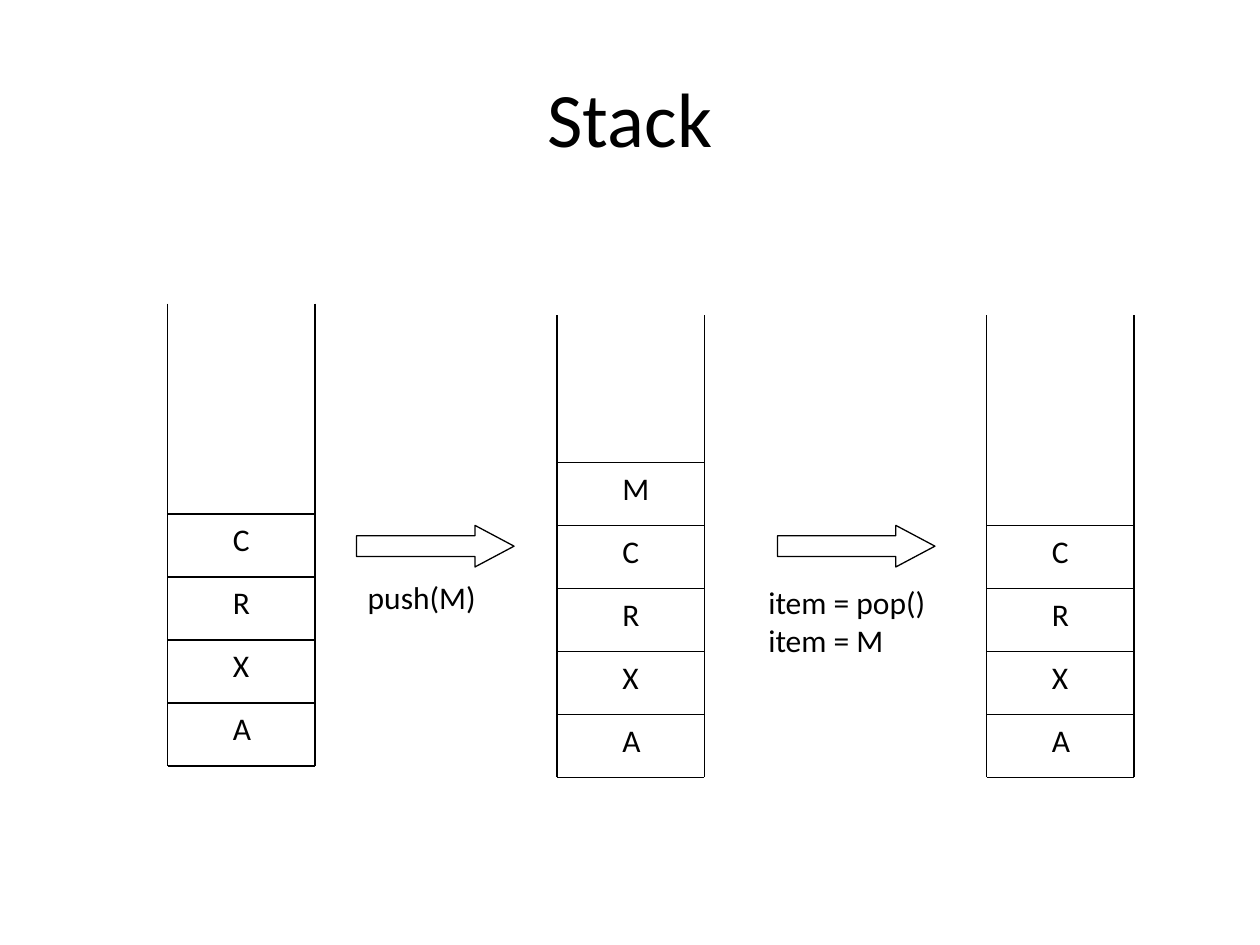
"""Build a slide showing push and pop on a stack."""
from lxml import etree
from pptx import Presentation
from pptx import util as u
from pptx.dml.color import RGBColor
from pptx.enum import shapes, text
from pptx.oxml.ns import qn

BLACK = RGBColor(0, 0, 0)
FONT = {"name": "Calibri", "size": u.Pt(18)}
TITLE_FONT = {"name": "Calibri", "size": u.Pt(44), "bold": False}

TITLE = "Stack"
STACKS = [
    {"left": 1.33, "bottom": 6.08, "items": "AXRC"},
    {"left": 4.42, "bottom": 6.17, "items": "AXRCM"},
    {"left": 7.83, "bottom": 6.17, "items": "AXRC"},
]
OPERATIONS = [
    {"arrow": 2.83, "label": (2.82, 4.54, 1.12, 0.4), "lines": ["push(M)"]},
    {"arrow": 6.17, "label": (6, 4.58, 1.54, 0.7), "lines": ["item = pop()", "item = M"]},
]
STACK_WIDTH, STACK_HEIGHT, ROW = 1.17, 3.67, 0.5
ITEM_INDENT, ITEM_WIDTH, ITEM_HEIGHT = 0.42, 0.38, 0.4
ARROW_TOP, ARROW_WIDTH, ARROW_HEIGHT = 4.17, 1.25, 0.33


def inches(*lengths):
    return [u.Inches(length) for length in lengths]


def style_font(font, values):
    for key, value in values.items():
        setattr(font, key, value)
    font.color.rgb = BLACK


def style_line(line):
    line.color.rgb = BLACK
    line.width = u.Pt(0.75)


def add_edge(slide, x1, y1, x2, y2):
    edge = slide.shapes.add_connector(
        shapes.MSO_CONNECTOR.STRAIGHT, *inches(x1, y1, x2, y2))
    style_line(edge.line)
    etree.SubElement(edge._element.spPr, qn("a:effectLst"))


def add_label(slide, box, lines):
    frame = slide.shapes.add_textbox(*inches(*box)).text_frame
    frame.word_wrap = False
    frame.auto_size = text.MSO_AUTO_SIZE.SHAPE_TO_FIT_TEXT
    frame.text = "\n".join(lines)
    for paragraph in frame.paragraphs:
        paragraph.alignment = text.PP_ALIGN.LEFT
        for run in paragraph.runs:
            style_font(run.font, FONT)


def add_stack(slide, left, bottom, items):
    right, top = left + STACK_WIDTH, bottom - STACK_HEIGHT
    for side in (left, right):
        add_edge(slide, side, top, side, bottom)
    add_edge(slide, left, bottom, right, bottom)
    for level, item in enumerate(items, 1):
        y = bottom - level * ROW
        add_edge(slide, left, y, right, y)
        add_label(slide, (left + ITEM_INDENT, y, ITEM_WIDTH, ITEM_HEIGHT), [item])


def add_operation(slide, arrow, label, lines):
    pointer = slide.shapes.add_shape(
        shapes.MSO_SHAPE.RIGHT_ARROW,
        *inches(arrow, ARROW_TOP, ARROW_WIDTH, ARROW_HEIGHT))
    pointer.adjustments[0], pointer.adjustments[1] = 0.5, 0.94
    pointer.shadow.inherit = False
    pointer.fill.background()
    style_line(pointer.line)
    add_label(slide, label, lines)


def main():
    deck = Presentation()
    deck.slide_width, deck.slide_height = inches(10, 7.5)
    slide = deck.slides.add_slide(deck.slide_layouts[5])
    title = slide.shapes.title
    title.left, title.top, title.width, title.height = inches(0.5, 0.3, 9, 1.25)
    title.text_frame.text = TITLE
    title.text_frame.vertical_anchor = text.MSO_ANCHOR.MIDDLE
    heading = title.text_frame.paragraphs[0]
    heading.alignment = text.PP_ALIGN.CENTER
    style_font(heading.runs[0].font, TITLE_FONT)
    for stack in STACKS:
        add_stack(slide, **stack)
    for operation in OPERATIONS:
        add_operation(slide, **operation)
    deck.save("out.pptx")


if __name__ == "__main__":
    main()
